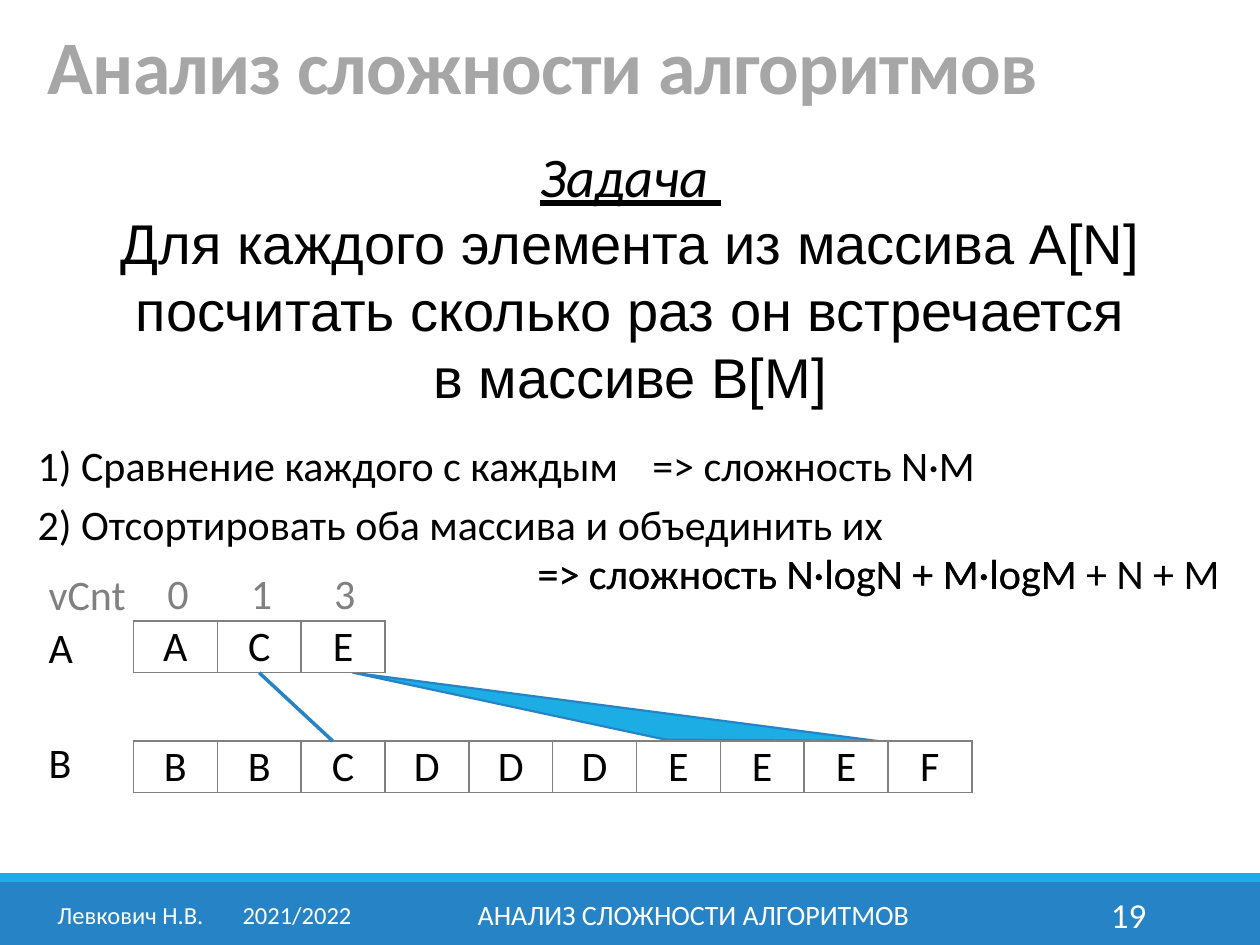
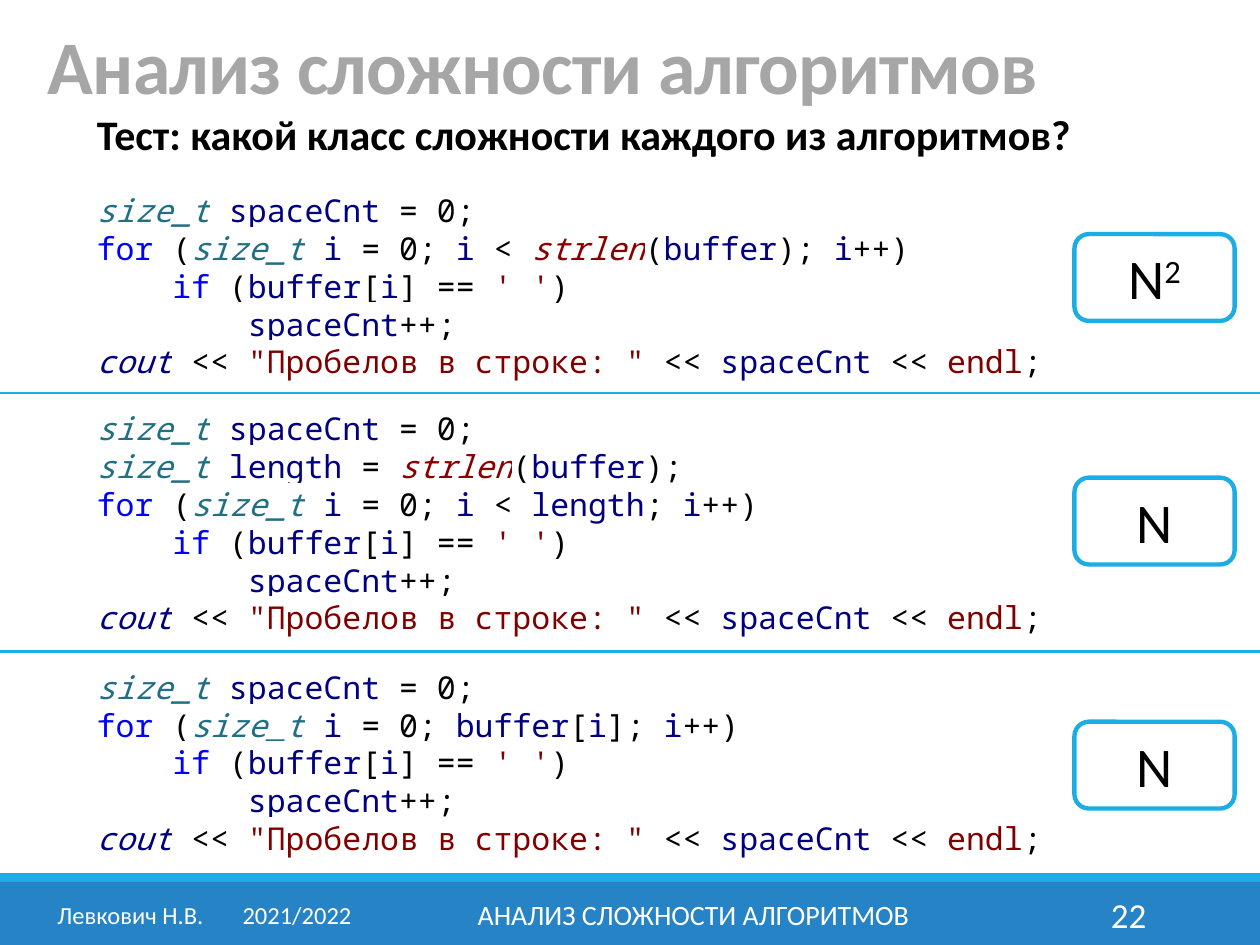
from itertools import groupby
from pptx import Presentation
from pptx import util as u
from pptx.dml.color import RGBColor
from pptx.enum import shapes, text
from pptx.oxml.ns import qn
from lxml import etree

HUES = {
    "bar": "2683C6", "sky": "1CADE4", "white": "FFFFFF", "black": "000000",
    "title": "A6A6A6", "gray": "808080", "type": "216F85", "word": "0000FF",
    "name": "000080", "call": "880000", "quote": "800000",
}
TOPIC = "Анализ сложности алгоритмов"
SANS, MONO = "Calibri", "Noto Sans Mono"
LEFT, MID, RIGHT = text.PP_ALIGN.LEFT, text.PP_ALIGN.CENTER, text.PP_ALIGN.RIGHT
TOP, CENTER, BOTTOM = (text.MSO_ANCHOR.TOP, text.MSO_ANCHOR.MIDDLE,
                       text.MSO_ANCHOR.BOTTOM)

WORDS = {
    "size_t": ("type", True), "for": ("word", False), "if": ("word", False),
    "strlen": ("call", True), "cout": ("name", True), "endl": ("quote", False),
}
START = "size_t spaceCnt = 0;"
TAIL = [
    "    if (buffer[i] == `' '`)",
    "        spaceCnt++;",
    'cout << `"Пробелов в строке: "` << spaceCnt << endl;',
]
TESTS = [
    (3.73, 4.11, 0.99, [("N", {}), ("2", {"base": 30000})],
     [START, "for (size_t i = 0; i < strlen(buffer); i++)"]),
    (8.13, 4.88, 1.5, "N",
     [START, "size_t length = strlen(buffer);",
      "for (size_t i = 0; i < length; i++)"]),
    (13.34, 4.11, 1.21, "N",
     [START, "for (size_t i = 0; buffer[i]; i++)"]),
]


def rgb(hue):
    return RGBColor.from_string(HUES[hue])


def cm(*sizes):
    return [u.Cm(size) for size in sizes]


def sub(node, tag, **attrs):
    return etree.SubElement(node, qn(tag), **attrs)


def style(run, size=24, font=SANS, hue="black", bold=False, slant=False,
          line=False, track=None, base=None, mark=None):
    f = run.font
    f.size, f.name, f.bold, f.italic, f.underline = (
        u.Pt(size), font, bold, slant, line)
    f.color.rgb = rgb(hue)
    props = f._element
    if track:
        props.set("spc", str(track))
    if base:
        props.set("baseline", str(base))
    if mark:
        glow = etree.Element(qn("a:highlight"))
        sub(glow, "a:srgbClr", val=HUES[mark])
        props.find(qn("a:solidFill")).addnext(glow)


def put(frame, paras, align=LEFT, anchor=TOP, space=None, before=None,
        tab=None, plain=False, **look):
    frame.word_wrap = True
    frame.auto_size = text.MSO_AUTO_SIZE.NONE
    frame.vertical_anchor = anchor
    for k, runs in enumerate([paras] if isinstance(paras, str) else paras):
        para = frame.add_paragraph() if k else frame.paragraphs[0]
        para.alignment = align
        if space:
            para.line_spacing = space
        if before is not None:
            para.space_before = u.Pt(before)
        props = para._p.get_or_add_pPr()
        if plain:
            props.set("marL", "0")
            props.set("indent", "0")
            sub(props, "a:buNone")
        if tab:
            stops = sub(props, "a:tabLst")
            sub(stops, "a:tab", pos=str(u.Cm(tab)), algn="l")
        for words, extra in [(runs, {})] if isinstance(runs, str) else runs:
            for n, part in enumerate(words.split("\n")):
                if n:
                    para.add_line_break()
                run = para.add_run()
                run.text = part
                style(run, **{**look, **extra})


def note(slide, box, paras, **look):
    put(slide.shapes.add_textbox(*cm(*box)).text_frame, paras, **look)


def hold(holder, box, paras, **look):
    holder.left, holder.top, holder.width, holder.height = cm(*box)
    put(holder.text_frame, paras, **look)


def paint(shape, fill, edge=None, width=1):
    shape.shadow.inherit = False
    shape.fill.solid()
    shape.fill.fore_color.rgb = rgb(fill)
    if edge:
        shape.line.color.rgb = rgb(edge)
        shape.line.width = u.Pt(width)
    else:
        shape.line.fill.background()
    return shape


def link(slide, ends, hue, width):
    line = slide.shapes.add_connector(shapes.MSO_CONNECTOR.STRAIGHT, *cm(*ends))
    line.line.color.rgb = rgb(hue)
    line.line.width = u.Pt(width)
    sub(line._element.spPr, "a:effectLst")


def foot(slide, box, page):
    x, y, w, h = box
    for top, tall, hue in [(0.18, h - 0.18, "bar"), (0, 0.18, "sky")]:
        paint(slide.shapes.add_shape(shapes.MSO_SHAPE.RECTANGLE,
                                     *cm(x, y + top, w, tall)), hue)
    for left, wide, words, size, align, tab in [
            (0.81, 6.63, "Левкович Н.В.\t2021/2022", 14, MID, 3.73),
            (7.67, 12.62, TOPIC.upper(), 16, MID, None),
            (20.62, 2.74, page, 20, RIGHT, None)]:
        note(slide, (x + left, y + 0.33, wide, 1.02), words, size=size,
             align=align, tab=tab, hue="white", anchor=CENTER)


def base(deck, page):
    slide = deck.slides.add_slide(deck.slide_layouts[1])
    hold(slide.shapes.title, (0.71, 0, 20.96, 2.34), TOPIC, size=43.2,
         hue="title", bold=True, track=-50, space=0.85, anchor=BOTTOM)
    foot(slide, (0, 17.6, 25.4, 1.45), page)
    return slide


def strip(slide, x, y, step, tall, marks):
    table = slide.shapes.add_table(
        1, len(marks), *cm(x, y, step * len(marks), tall)).table
    table.first_row = table.horz_banding = False
    table.rows[0].height = u.Cm(tall)
    for k, mark in enumerate(marks):
        table.columns[k].width = u.Cm(step)
        cell = table.cell(0, k)
        cell.margin_left = cell.margin_right = 0
        cell.margin_top = cell.margin_bottom = 0
        cell.vertical_anchor = CENTER
        put(cell.text_frame, mark, align=MID)
        props = cell._tc.get_or_add_tcPr()
        for side in ("a:lnL", "a:lnR", "a:lnT", "a:lnB"):
            edge = sub(props, side, w=str(u.Pt(1)))
            sub(sub(edge, "a:solidFill"), "a:srgbClr", val=HUES["gray"])
        cell.fill.solid()
        cell.fill.fore_color.rgb = rgb("white")


def match(slide, box):
    x, y, step, tall = box
    low = y + 2.42
    spots = [cm(x + a, b) for a, b in
             [(4.42, y + tall), (10.72, low - 0.03), (15.01, low)]]
    form = slide.shapes.build_freeform(*spots[0])
    form.add_line_segments(spots[1:], close=True)
    paint(form.convert_to_shape(), "sky", "bar", 1.25)
    strip(slide, x, y, step, tall, "ACE")
    strip(slide, x, low, step, tall, "BBCDDDEEEF")
    link(slide, (x + 1.5 * step, y + tall, x + 4.02, low), "bar", 2)
    for name, top, hue in [("A", y - 0.12, "black"), ("B", low - 0.21, "black"),
                           ("vCnt", y - 1.19, "gray")]:
        note(slide, (x - 1.96, top, 2.39, 1.27), name, hue=hue)
    for k, count in enumerate("013"):
        note(slide, (x + k * 1.68, y - 1.2, 1.8, 1.02), count,
             hue="gray", align=MID)


def task(deck):
    slide = base(deck, "19")
    hold(slide.placeholders[1], (0.71, 2.72, 24, 5.74), [
        [("Задача ", {"slant": True, "line": True})],
        [("Для каждого элемента из массива A[N] посчитать сколько раз он "
          "встречается\nв массиве B[M]", {"font": "Arial"})]],
         size=32, align=MID, before=0, plain=True)
    cost = "=> сложность N·logN + M·logM"
    for x, y, w, words in [
            (0.51, 8.74, 23.6, "1) Сравнение каждого с каждым"),
            (12.9, 8.74, 7.6, "=> сложность N·M"),
            (0.51, 9.93, 23.6, "2) Отсортировать оба массива и объединить их"),
            (10.59, 10.92, 14.81, cost + " + N + M"),
            (10.59, 10.92, 14.81, cost)]:
        note(slide, (x, y, w, 1.27), words)
    match(slide, (2.69, 12.52, 1.69, 1.04))


def lex(line):
    runs = []
    for k, part in enumerate(line.split("`")):
        if k % 2:
            runs.append((part, {"hue": "quote"}))
            continue
        for word, chars in groupby(part, lambda c: c.isalnum() or c == "_"):
            bit = "".join(chars)
            plain = "name" if word and not bit.isdigit() else "black"
            hue, slant = WORDS.get(bit, (plain, False))
            runs.append((bit, {"hue": hue, "slant": slant}))
    return runs


def block(slide, box, drop, answer, lines):
    x, y, w, h = box
    note(slide, box, [lex(line) for line in lines + TAIL],
         size=18, font=MONO, mark="white")
    card = paint(slide.shapes.add_shape(
        shapes.MSO_SHAPE.ROUNDED_RECTANGLE,
        *cm(x + 19.96, y + drop, 3.23, 1.75)), "white", "sky", 2.5)
    put(card.text_frame, [answer], size=32, align=MID, anchor=CENTER)


def quiz(deck):
    slide = base(deck, "22")
    hold(slide.placeholders[1], (1.7, 2.18, 23.01, 1.17),
         "Тест: какой класс сложности каждого из алгоритмов?",
         bold=True, space=0.9, plain=True)
    for k, (top, tall, drop, answer, lines) in enumerate(TESTS):
        block(slide, (1.7, top, 21.41, tall), drop, answer, lines)
        if k:
            link(slide, (0, top - 0.21, 25.4, top - 0.21), "sky", 1.5)


def main():
    deck = Presentation()
    deck.slide_width, deck.slide_height = cm(25.4, 19.05)
    task(deck)
    quiz(deck)
    deck.save("out.pptx")


if __name__ == "__main__":
    main()
